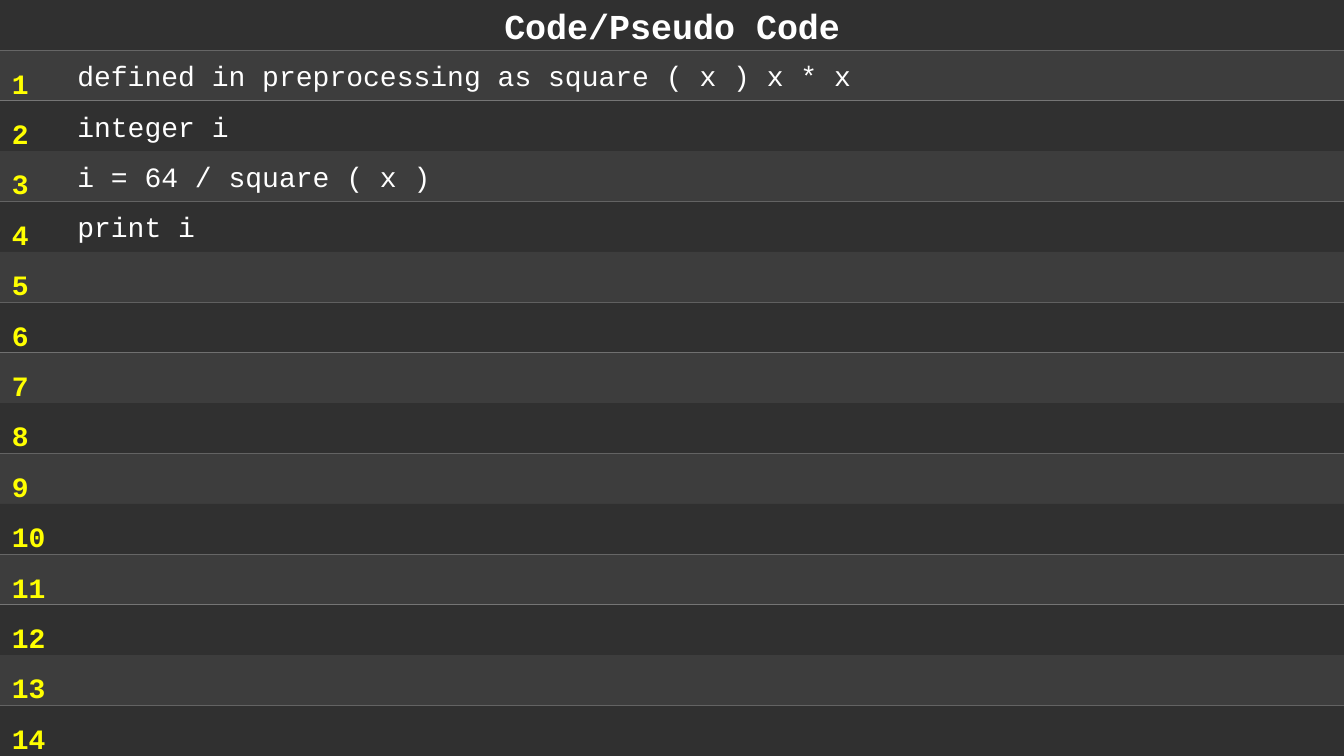
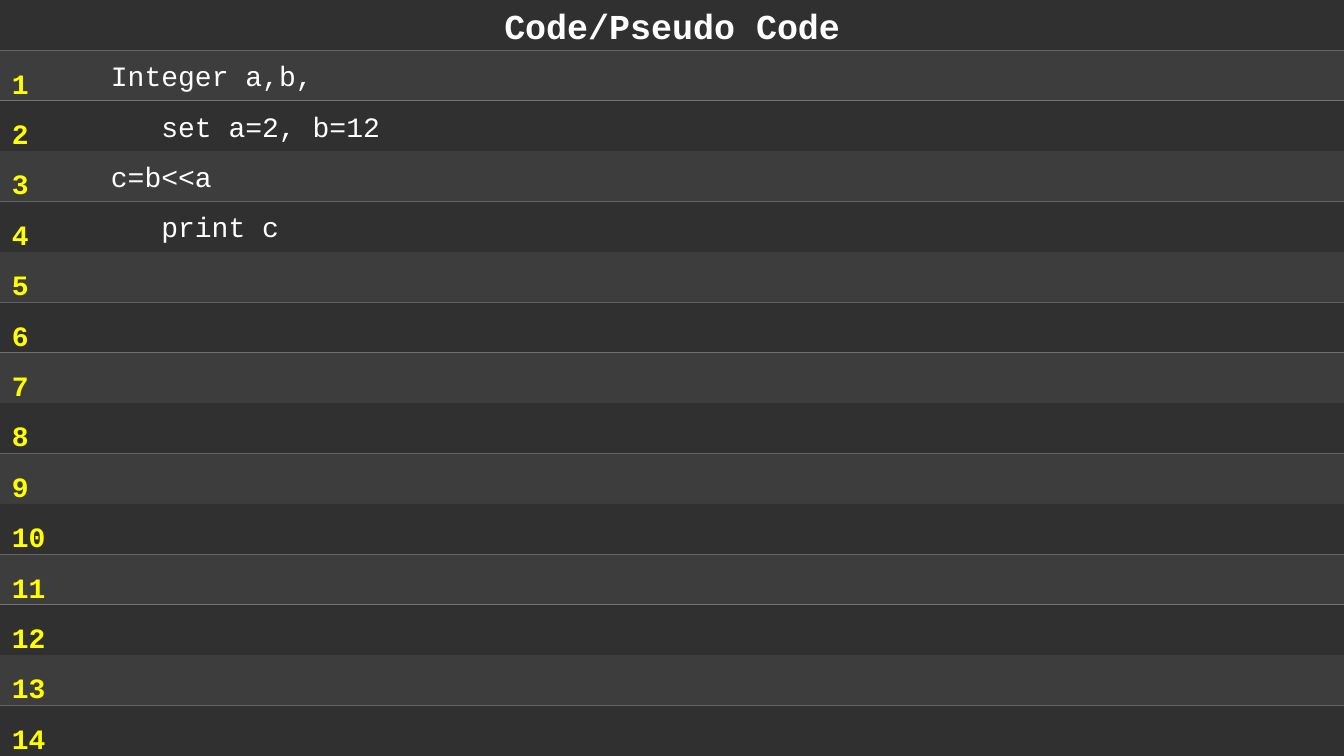
from pptx import Presentation
from pptx.dml.color import RGBColor
from pptx.enum.shapes import MSO_SHAPE
from pptx.enum.text import MSO_ANCHOR, PP_ALIGN
from pptx.util import Pt

RECTANGLE = MSO_SHAPE.RECTANGLE
MIDDLE = MSO_ANCHOR.MIDDLE
LEFT = PP_ALIGN.LEFT
CENTER = PP_ALIGN.CENTER

DARK = RGBColor(0x30, 0x30, 0x30)
LIGHT = RGBColor(0x3D, 0x3D, 0x3D)
WHITE = RGBColor(0xFF, 0xFF, 0xFF)
YELLOW = RGBColor(0xFF, 0xFF, 0x00)

FONT = "Courier New"
SLIDE_WIDTH = 960
SLIDE_HEIGHT = 540
BAND_HEIGHT = 36
LINE_COUNT = 14
TITLE = "Code/Pseudo Code"

LISTINGS = [
    [
        (55.2, "defined in preprocessing as square ( x ) x * x"),
        (55.2, "integer i"),
        (55.2, "i = 64 / square ( x )"),
        (55.2, "print i"),
    ],
    [
        (79.2, "Integer a,b,"),
        (115.2, "set a=2, b=12"),
        (79.2, "c=b<<a"),
        (115.2, "print c"),
    ],
]


def write(paragraph, text, size=20, color=WHITE, bold=False, align=LEFT, spacing=None):
    paragraph.alignment = align
    paragraph.line_spacing = spacing
    run = paragraph.add_run()
    run.text = text
    run.font.name = FONT
    run.font.size = Pt(size)
    run.font.bold = bold
    run.font.color.rgb = color


def add_band(slide, row):
    band = slide.shapes.add_shape(
        RECTANGLE, 0, Pt(row * BAND_HEIGHT), Pt(SLIDE_WIDTH), Pt(BAND_HEIGHT)
    )
    band.shadow.inherit = False
    band.fill.solid()
    band.fill.fore_color.rgb = LIGHT if row % 2 else DARK
    band.line.fill.background()
    band.text_frame.vertical_anchor = MIDDLE
    return band.text_frame


def add_line_numbers(slide):
    gutter = slide.shapes.add_textbox(Pt(1.4), Pt(31.7), Pt(40.3), Pt(508)).text_frame
    gutter.word_wrap = False
    for number in range(1, LINE_COUNT + 1):
        paragraph = gutter.paragraphs[0] if number == 1 else gutter.add_paragraph()
        write(paragraph, str(number), color=YELLOW, bold=True, spacing=1.5)


def add_listing_slide(deck, listing):
    slide = deck.slides.add_slide(deck.slide_layouts[6])
    title, *code_bands = [add_band(slide, row) for row in range(LINE_COUNT + 1)]
    write(title.paragraphs[0], TITLE, size=25, bold=True, align=CENTER)
    for band, (indent, code) in zip(code_bands, listing):
        band.margin_left = Pt(indent)
        write(band.paragraphs[0], code)
    add_line_numbers(slide)


def main():
    deck = Presentation()
    deck.slide_width = Pt(SLIDE_WIDTH)
    deck.slide_height = Pt(SLIDE_HEIGHT)
    for listing in LISTINGS:
        add_listing_slide(deck, listing)
    deck.save("out.pptx")


if __name__ == "__main__":
    main()
